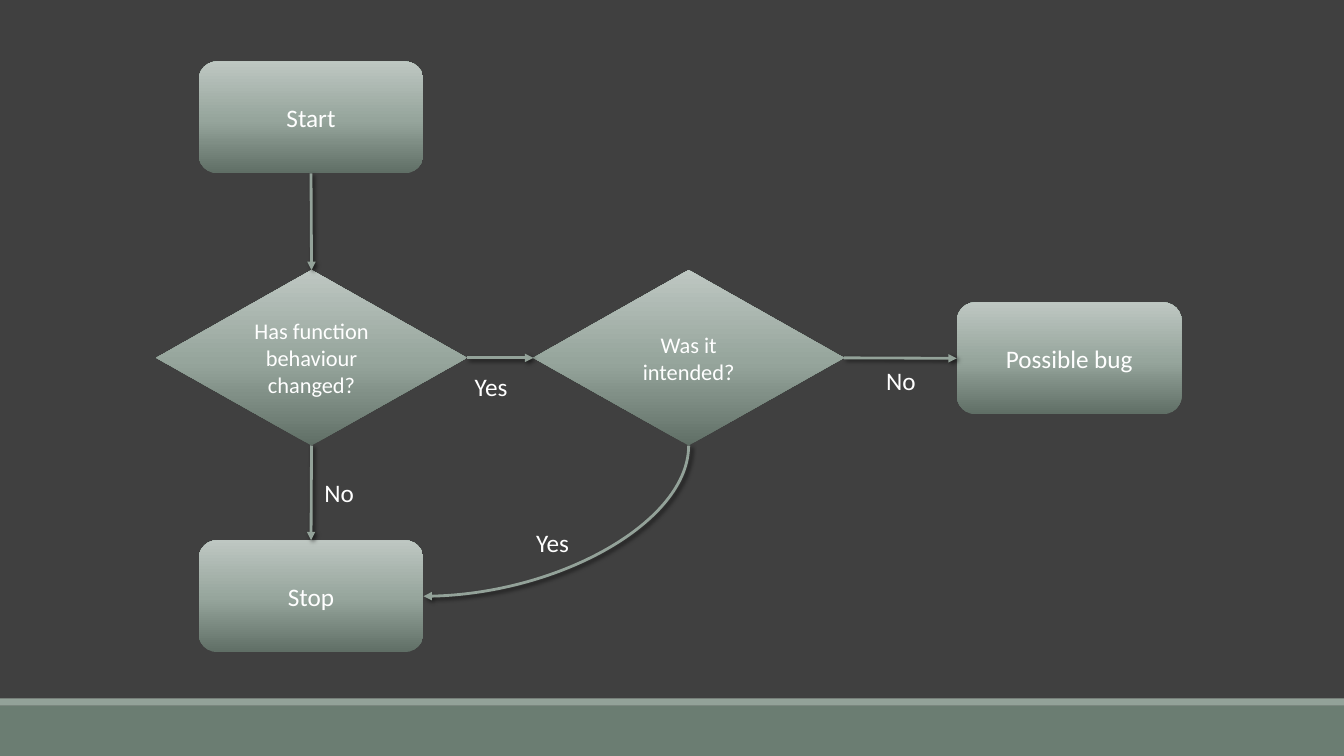
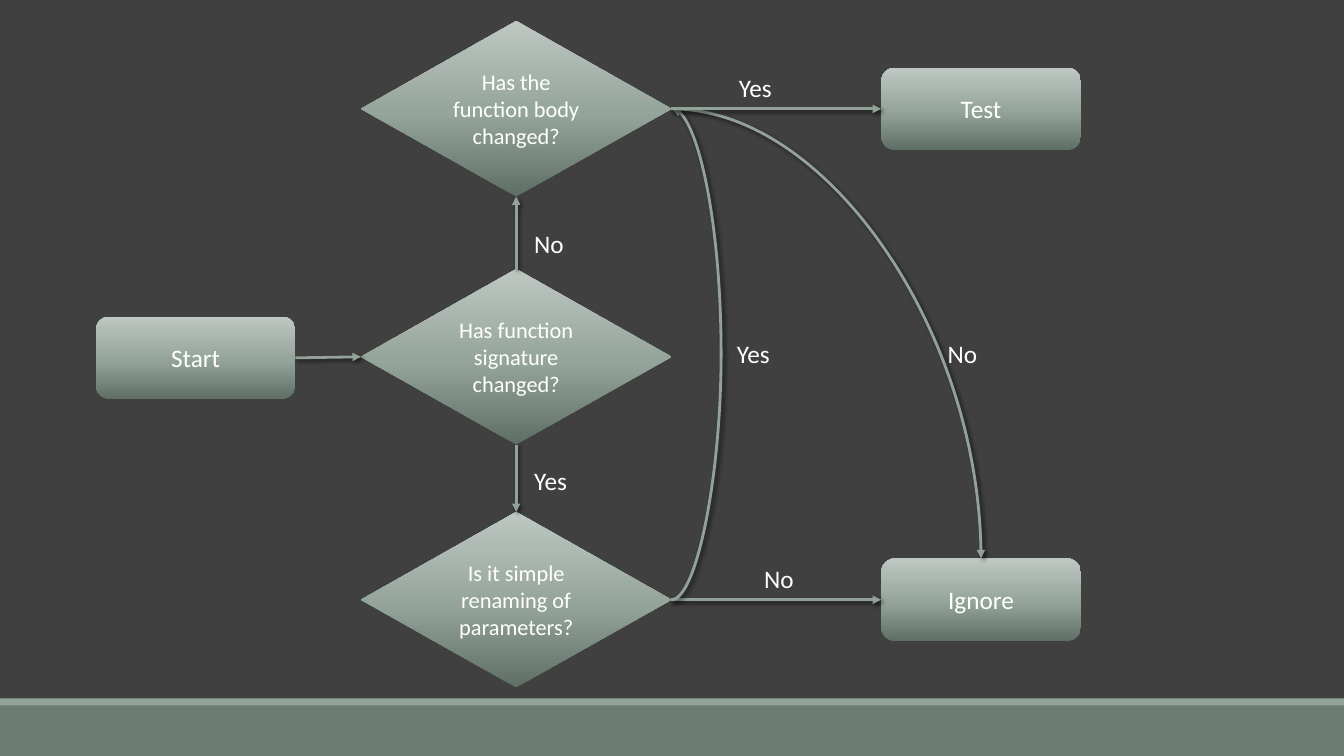
import copy
from dataclasses import dataclass

import pptx
import pptx.dml.color
import pptx.enum.shapes
import pptx.enum.text
import pptx.oxml
import pptx.oxml.ns
import pptx.util

Inches = pptx.util.Inches
Pt = pptx.util.Pt
SHAPE = pptx.enum.shapes.MSO_SHAPE
CONNECTOR = pptx.enum.shapes.MSO_CONNECTOR
ALIGN = pptx.enum.text.PP_ALIGN
qn = pptx.oxml.ns.qn
nsdecls = pptx.oxml.ns.nsdecls


@dataclass(frozen=True)
class Theme:
    font: str = "Calibri"
    background: str = "404040"
    band: str = "6B7D72"
    accent: str = "93A299"
    text: str = "FFFFFF"
    gradient: tuple = ((0, "606F66"), (0.48, "96A59C"), (1, "BEC7C2"))
    question_size: int = 16
    step_size: int = 18
    line_width: int = 2


THEME = Theme()
PAGE_SIZE = (13.33, 7.5)
DECISION_SIZE = (3.08, 1.74)
LABEL_HEIGHT = 0.4
LOOP_BULGE = 0.5
SITES = {"top": 0, "left": 1, "bottom": 2, "right": 3}

# Bands: top, height, colour
BANDS = [(7, 0.5, THEME.band), (6.93, 0.07, THEME.accent)]

# Decisions and steps: name: (text, left, top)
# Arrows: (from, side, to, side, route)
# Labels: (text, left, top, width)
FLOWCHARTS = [
    {
        "step_size": (2.23, 1.11),
        "decisions": {
            "changed": ("Has function behaviour changed?", 1.55, 2.68),
            "intended": ("Was it intended?", 5.29, 2.68),
        },
        "steps": {
            "start": ("Start", 1.97, 0.61),
            "stop": ("Stop", 1.97, 5.36),
            "bug": ("Possible bug", 9.49, 3),
        },
        "arrows": [
            ("start", "bottom", "changed", "top", "straight"),
            ("changed", "bottom", "stop", "top", "straight"),
            ("changed", "right", "intended", "left", "straight"),
            ("intended", "right", "bug", "left", "straight"),
            ("intended", "bottom", "stop", "right", "corner"),
        ],
        "labels": [
            ("No", 3.12, 4.69, 0.73),
            ("Yes", 4.61, 3.63, 0.6),
            ("No", 8.69, 3.58, 0.7),
            ("Yes", 5.22, 5.18, 0.69),
        ],
    },
    {
        "step_size": (1.98, 0.82),
        "decisions": {
            "signature": ("Has function signature changed?", 3.58, 2.67),
            "renaming": ("Is it simple renaming of parameters?", 3.58, 5.08),
            "body": ("Has the function body changed?", 3.58, 0.21),
        },
        "steps": {
            "start": ("Start", 0.95, 3.14),
            "ignore": ("Ignore", 8.74, 5.54),
            "test": ("Test", 8.74, 0.67),
        },
        "arrows": [
            ("start", "right", "signature", "left", "straight"),
            ("renaming", "right", "ignore", "left", "straight"),
            ("signature", "top", "body", "bottom", "straight"),
            ("signature", "bottom", "renaming", "top", "straight"),
            ("renaming", "right", "body", "right", "loop"),
            ("body", "right", "ignore", "top", "corner"),
            ("body", "right", "test", "left", "straight"),
        ],
        "labels": [
            ("No", 5.2, 2.22, 0.66),
            ("Yes", 5.2, 4.57, 0.66),
            ("Yes", 7.23, 0.67, 0.66),
            ("Yes", 7.21, 3.31, 0.66),
            ("No", 7.48, 5.54, 0.66),
            ("No", 9.3, 3.31, 0.66),
        ],
    },
]


def rgb(value):
    return pptx.dml.color.RGBColor.from_string(value)


def write(frame, text, size, align):
    frame.word_wrap = True
    para = frame.paragraphs[0]
    para.alignment = align
    span = para.add_run()
    span.text = text
    span.font.name = THEME.font
    span.font.size = Pt(size)
    span.font.color.rgb = rgb(THEME.text)


def add_plain_shape(page, kind, left, top, width, height):
    shape = page.shapes.add_shape(
        kind, Inches(left), Inches(top), Inches(width), Inches(height))
    shape.shadow.inherit = False
    shape.line.fill.background()
    return shape


def add_node(page, kind, text, left, top, size, text_size):
    node = add_plain_shape(page, kind, left, top, *size)
    node.fill.gradient()
    node.fill.gradient_angle = 90
    stop_list = next(node.element.iter(qn("a:gsLst")))
    stop_list.append(copy.deepcopy(stop_list[0]))
    for stop, (position, colour) in zip(node.fill.gradient_stops, THEME.gradient):
        stop.position = position
        stop.color.rgb = rgb(colour)
    node.text_frame.vertical_anchor = pptx.enum.text.MSO_ANCHOR.MIDDLE
    write(node.text_frame, text, text_size, ALIGN.CENTER)
    return node


def style_arrow(arrow):
    arrow.line.color.rgb = rgb(THEME.accent)
    arrow.line.width = Pt(THEME.line_width)
    properties = arrow.element.spPr
    properties.find(qn("a:ln")).append(pptx.oxml.parse_xml(
        f'<a:tailEnd {nsdecls("a")} type="triangle"/>'))
    properties.append(pptx.oxml.parse_xml(
        f'<a:effectLst {nsdecls("a")}>'
        f'<a:outerShdw blurRad="{Pt(3)}" dist="{Pt(2)}" dir="2700000" rotWithShape="0">'
        '<a:srgbClr val="000000"><a:alpha val="60000"/></a:srgbClr>'
        '</a:outerShdw></a:effectLst>'))


def make_corner(arrow, starts_vertically):
    """Bend once; a curve that leaves downwards to the left is a quarter turn."""
    arrow.element.spPr.find(qn("a:prstGeom")).set("prst", "curvedConnector2")
    if starts_vertically:
        left, top, width, height = arrow.left, arrow.top, arrow.width, arrow.height
        arrow.left = left + (width - height) // 2
        arrow.top = top + (height - width) // 2
        arrow.width, arrow.height = height, width
        transform = arrow.element.spPr.find(qn("a:xfrm"))
        transform.attrib.pop("flipH", None)
        transform.set("rot", "5400000")


def make_loop(arrow):
    """Bulge to the right between two points nearly above each other."""
    span_width = 0.01
    arrow.end_x = arrow.begin_x + Inches(span_width)
    geometry = arrow.element.spPr.find(qn("a:prstGeom"))
    guides = geometry.get_or_add_avLst()
    bend = round(LOOP_BULGE / span_width * 100000)
    guides.append(pptx.oxml.parse_xml(
        f'<a:gd {nsdecls("a")} name="adj1" fmla="val {bend}"/>'))


def add_arrow(page, nodes, source, source_side, target, target_side, route):
    kind = CONNECTOR.STRAIGHT if route == "straight" else CONNECTOR.CURVE
    arrow = page.shapes.add_connector(kind, 0, 0, 0, 0)
    arrow.begin_connect(nodes[source], SITES[source_side])
    arrow.end_connect(nodes[target], SITES[target_side])
    if route == "corner":
        make_corner(arrow, source_side == "bottom")
    elif route == "loop":
        make_loop(arrow)
    style_arrow(arrow)


def add_label(page, text, left, top, width):
    box = page.shapes.add_textbox(
        Inches(left), Inches(top), Inches(width), Inches(LABEL_HEIGHT))
    write(box.text_frame, text, THEME.step_size, ALIGN.LEFT)
    box.text_frame.auto_size = pptx.enum.text.MSO_AUTO_SIZE.SHAPE_TO_FIT_TEXT


def add_flowchart(page, chart):
    nodes = {}
    groups = [
        ("decisions", SHAPE.FLOWCHART_DECISION, DECISION_SIZE, THEME.question_size),
        ("steps", SHAPE.FLOWCHART_ALTERNATE_PROCESS, chart["step_size"], THEME.step_size),
    ]
    for group, kind, size, text_size in groups:
        for name, (text, left, top) in chart[group].items():
            nodes[name] = add_node(page, kind, text, left, top, size, text_size)
    for arrow in chart["arrows"]:
        add_arrow(page, nodes, *arrow)
    for label in chart["labels"]:
        add_label(page, *label)


def dress_master(deck, page):
    """Put the background and bands on the master, drawing them through a page."""
    master = deck.slide_master
    master.background.fill.solid()
    master.background.fill.fore_color.rgb = rgb(THEME.background)
    for index, (top, height, colour) in enumerate(BANDS):
        band = add_plain_shape(page, SHAPE.RECTANGLE, 0, top, PAGE_SIZE[0], height)
        band.fill.solid()
        band.fill.fore_color.rgb = rgb(colour)
        master.shapes.element.insert(2 + index, band.element)


def main():
    deck = pptx.Presentation()
    deck.slide_width, deck.slide_height = map(Inches, PAGE_SIZE)
    blank_layout = deck.slide_layouts[6]
    pages = [deck.slides.add_slide(blank_layout) for chart in FLOWCHARTS]
    dress_master(deck, pages[0])
    for page, chart in zip(pages, FLOWCHARTS):
        add_flowchart(page, chart)
    deck.save("out.pptx")


if __name__ == "__main__":
    main()
